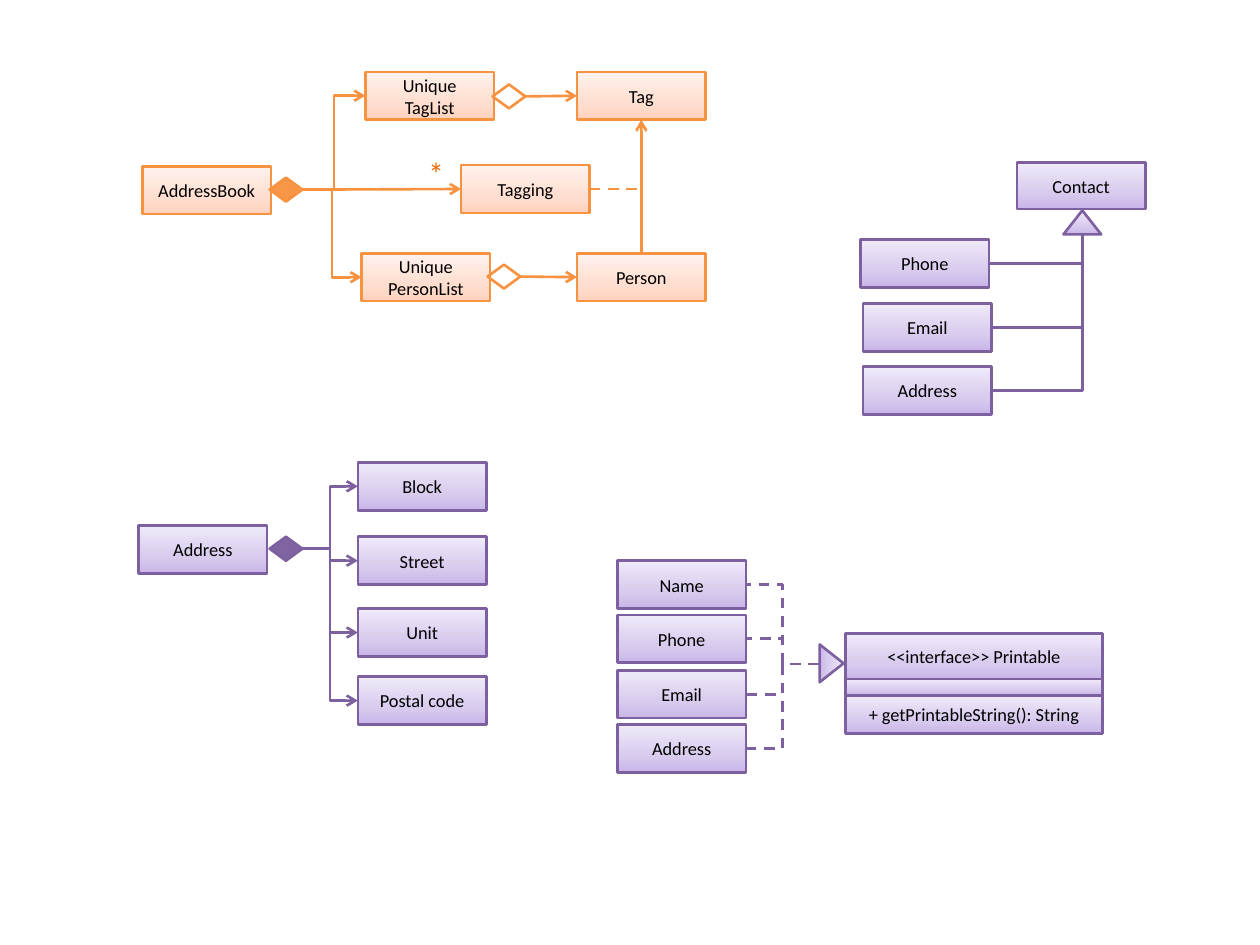
import copy
from dataclasses import dataclass

import lxml.etree
import pptx
import pptx.dml.color
import pptx.enum.dml
import pptx.enum.shapes
import pptx.enum.text
import pptx.oxml.ns
import pptx.util

Inches = pptx.util.Inches
Pt = pptx.util.Pt
qn = pptx.oxml.ns.qn
Kind = pptx.enum.shapes.MSO_SHAPE
Route = pptx.enum.shapes.MSO_CONNECTOR

COLOURS = {
    "purple": "7D60A0", "purple solid": "8064A2",
    "orange": "F69240", "orange solid": "F79646",
    "label": "000000", "star": "E46C0A",
}
GRADIENTS = {
    "purple": {0: "C9B5E8", 0.35: "D8CBEE", 1: "F0EAF9"},
    "orange": {0: "FFD2BD", 0.35: "FFDED0", 1: "FFF2ED"},
}
LABEL_FRAME = {"word_wrap": True, "vertical_anchor": pptx.enum.text.MSO_ANCHOR.MIDDLE}
STAR_FRAME = {"word_wrap": True, "margin_left": 0, "margin_right": 0}
Point = tuple[float, float]


@dataclass
class Node:
    left: float
    top: float
    text: str = ""
    theme: str = "purple"
    width: float = 1.02
    height: float = 0.38
    kind: int = Kind.RECTANGLE
    fill: str = "gradient"
    turn: int = 0

    @property
    def west(self) -> Point:
        return self.left, self.top + self.height / 2

    @property
    def east(self) -> Point:
        return self.left + self.width, self.top + self.height / 2

    @property
    def north(self) -> Point:
        return self.left + self.width / 2, self.top

    @property
    def south(self) -> Point:
        return self.left + self.width / 2, self.top + self.height


@dataclass
class Link:
    start: Point
    end: Point
    theme: str = "purple"
    preset: str = "bentConnector3"
    arrow: bool = True
    dashed: bool = False


def rgb(name: str) -> pptx.dml.color.RGBColor:
    return pptx.dml.color.RGBColor.from_string(COLOURS.get(name, name))


def apply(target, values: dict) -> None:
    for key, value in values.items():
        setattr(target, key, value)


def style_line(line, theme: str) -> None:
    line.color.rgb = rgb(theme)
    line.width = Pt(1.5)


def write(frame, text: str, colour: str, size: float, frame_format: dict, align) -> None:
    apply(frame, frame_format)
    paragraph = frame.paragraphs[0]
    paragraph.text = text
    paragraph.alignment = align
    for run in paragraph.runs:
        apply(run.font, {"name": "Calibri", "size": Pt(size)})
        run.font.color.rgb = rgb(colour)
    for line_break in paragraph._p.findall(qn("a:br")):
        line_break.append(copy.deepcopy(paragraph.runs[0]._r.rPr))


def fill_gradient(shape, theme: str) -> None:
    shape.fill.gradient()
    shape.fill.gradient_angle = 90
    stops = shape._element.spPr.find(".//" + qn("a:gsLst"))
    stops.append(copy.deepcopy(stops[0]))
    for stop, (position, colour) in zip(shape.fill.gradient_stops, GRADIENTS[theme].items()):
        stop.position = position
        stop.color.rgb = rgb(colour)


def draw_node(slide, node: Node) -> None:
    shape = slide.shapes.add_shape(
        node.kind, *map(Inches, (node.left, node.top, node.width, node.height)))
    shape.shadow.inherit = False
    shape.rotation = node.turn
    style_line(shape.line, node.theme)
    if node.fill == "gradient":
        fill_gradient(shape, node.theme)
    elif node.fill == "solid":
        shape.fill.solid()
        shape.fill.fore_color.rgb = rgb(node.theme + " solid")
    else:
        shape.fill.background()
    if node.text:
        write(shape.text_frame, node.text, "label", 10.5, LABEL_FRAME,
              pptx.enum.text.PP_ALIGN.CENTER)


def draw_link(slide, link: Link) -> None:
    connector = slide.shapes.add_connector(
        Route.STRAIGHT if link.preset == "line" else Route.ELBOW,
        *map(Inches, (*link.start, *link.end)))
    properties = connector._element.spPr
    properties.find(qn("a:prstGeom")).set("prst", link.preset)
    style_line(connector.line, link.theme)
    if link.dashed:
        connector.line.dash_style = pptx.enum.dml.MSO_LINE.DASH
    if link.arrow:
        lxml.etree.SubElement(properties.find(qn("a:ln")), qn("a:tailEnd"), type="arrow")
    lxml.etree.SubElement(properties, qn("a:effectLst"))


def diamond(left: float, top: float, theme: str, fill: str) -> Node:
    return Node(left, top, "", theme, 0.26, 0.19, Kind.FLOWCHART_DECISION, fill)


def triangle(left: float, top: float, turn: int = 0) -> Node:
    return Node(left, top, "", "purple", 0.3, 0.19, Kind.ISOSCELES_TRIANGLE, turn=turn)


address = Node(1.1, 4.17, "Address")
address_whole = diamond(2.14, 4.26, "purple", "solid")
address_parts = [Node(2.84, top, text) for top, text in (
    (3.67, "Block"), (4.26, "Street"), (4.83, "Unit"), (5.37, "Postal code"))]

contact = Node(8.07, 1.29, "Contact", height=0.37)
contact_parent = triangle(8.44, 1.67)
contact_kinds = [Node(6.83, 1.9, "Phone"), Node(6.85, 2.41, "Email"), Node(6.85, 2.91, "Address")]

interface = [
    Node(6.71, 5.03, "<<interface>> Printable", width=2.04, height=0.36),
    Node(6.71, 5.39, width=2.04, height=0.13),
    Node(6.71, 5.52, "+ getPrintableString(): String", width=2.04, height=0.3)]
interface_parent = triangle(6.45, 5.17, 90)
printables = [Node(4.9, round(4.45 + 0.435 * row, 2), text)
              for row, text in enumerate(("Name", "Phone", "Email", "Address"))]

address_book = Node(1.13, 1.32, "AddressBook", "orange")
tag_list = Node(2.9, 0.57, "Unique\nTagList", "orange")
person_list = Node(2.87, 2.01, "Unique\nPersonList", "orange")
tag = Node(4.58, 0.57, "Tag", "orange")
person = Node(4.58, 2.01, "Person", "orange")
tagging = Node(3.66, 1.31, "Tagging", "orange")
book_whole = diamond(2.14, 1.41, "orange", "solid")
tag_whole = diamond(3.91, 0.67, "orange", "none")
person_whole = diamond(3.87, 2.1, "orange", "none")

nodes = [address, address_whole, *address_parts, contact, *contact_kinds, contact_parent,
         *interface, interface_parent, *printables, address_book, tag_list, person_list,
         tag, person, tagging, book_whole, tag_whole, person_whole]

links = [Link(address_whole.east, part.west) for part in address_parts]
links += [Link(kind.east, contact_parent.south, preset="bentConnector2", arrow=False)
          for kind in contact_kinds]
links += [Link((6.5, 5.27), item.east, arrow=False, dashed=True) for item in printables]
links += [Link(book_whole.east, part.west, "orange") for part in (tag_list, person_list)]
links += [Link(start, end, "orange", "line") for start, end in (
    (tag_whole.east, tag.west), (person_whole.east, person.west),
    (person.north, tag.south), (book_whole.east, tagging.west))]
links.append(Link(tagging.east, (person.north[0], tagging.east[1]), "orange", "line", False, True))

deck = pptx.Presentation()
apply(deck, {"slide_width": Inches(10), "slide_height": Inches(7.5)})
slide = deck.slides.add_slide(deck.slide_layouts[6])
for node in nodes:
    draw_node(slide, node)
for link in links:
    draw_link(slide, link)
many = slide.shapes.add_textbox(*map(Inches, (3.4, 1.17, 0.1, 0.4)))
write(many.text_frame, "*", "star", 18, STAR_FRAME, pptx.enum.text.PP_ALIGN.LEFT)
deck.save("out.pptx")
